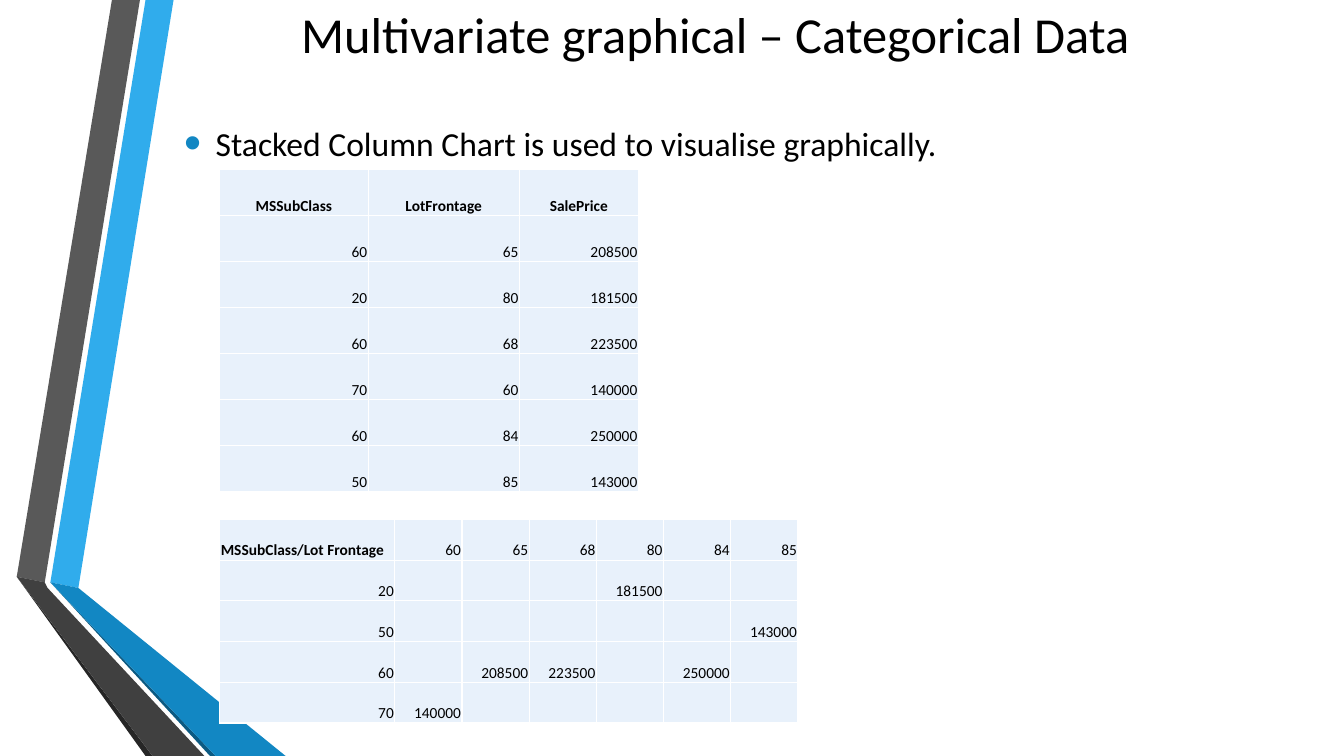
from dataclasses import dataclass

from lxml import etree
from pptx import Presentation
from pptx import util as u
from pptx.dml.color import RGBColor
from pptx.enum import text
from pptx.oxml import ns, parse_xml


@dataclass(frozen=True)
class Theme:
    font: str = "Calibri"
    title_size: int = 36
    body_size: int = 24
    cell_size: int = 11
    ink: str = "000000"
    accent: str = "1287C3"
    cell_fill: str = "E8F1FB"
    cell_border: str = "FFFFFF"
    light_blue: str = "30ACEC"
    dark_blue: str = "0C5A82"
    grey: str = "595959"
    dark_grey: str = "404040"
    near_black: str = "262626"


THEME = Theme()
LEFT, CENTER, RIGHT = text.PP_ALIGN.LEFT, text.PP_ALIGN.CENTER, text.PP_ALIGN.RIGHT
MIDDLE, TOP = text.MSO_ANCHOR.MIDDLE, text.MSO_ANCHOR.TOP

SALES_HEADINGS = ("MSSubClass", "LotFrontage", "SalePrice")
SALES = [
    (60, 65, 208500),
    (20, 80, 181500),
    (60, 68, 223500),
    (70, 60, 140000),
    (60, 84, 250000),
    (50, 85, 143000),
]


def write_text(frame, words, size, align=LEFT, bold=False, color=THEME.ink):
    para = frame.paragraphs[0]
    para.alignment = align
    span = para.add_run()
    span.text = words
    span.font.name = THEME.font
    span.font.size = u.Pt(size)
    span.font.bold = bold
    span.font.color.rgb = RGBColor.from_string(color)
    return para


def add_text_box(page, box, words, anchor=MIDDLE, inset_top=3.6, **style):
    frame = page.shapes.add_textbox(*map(u.Pt, box)).text_frame
    frame.word_wrap = True
    frame.vertical_anchor = anchor
    frame.margin_top = u.Pt(inset_top)
    return write_text(frame, words, **style)


def add_bullet(para, color, percent, indent):
    props = para._p.get_or_add_pPr()
    props.set("marL", str(u.Pt(indent)))
    props.set("indent", str(-u.Pt(indent)))
    bullet_color = etree.SubElement(props, ns.qn("a:buClr"))
    etree.SubElement(bullet_color, ns.qn("a:srgbClr"), val=color)
    etree.SubElement(props, ns.qn("a:buSzPct"), val=str(percent * 1000))
    etree.SubElement(props, ns.qn("a:buFont"), typeface="Arial")
    etree.SubElement(props, ns.qn("a:buChar"), char="•")


def add_ribbons(page, box):
    """Draw the two folded ribbons, with corners measured from the box."""
    left, top, width, height = box
    ribbons = [
        (THEME.light_blue, [(36, 416), (55.5, 420), (124.5, 0), (104.5, 0)]),
        (THEME.grey, [(100, 0), (80, 0), (11.5, 412.5), (31.5, 415.5)]),
        (THEME.near_black, [(11.5, 412.5), (104.5, height), (109, height)]),
        (THEME.dark_blue, [(36, 416.5), (150, height), (154, height)]),
        (THEME.accent, [(36, 416.5), (154, height), (width, height), (55.5, 420)]),
        (THEME.dark_grey, [(145.5, height), (34.5, 420), (31.5, 415.5),
                           (11.5, 412.5), (109, height)]),
    ]
    for color, corners in ribbons:
        start, *rest = [(left + x, top + y) for x, y in corners]
        builder = page.shapes.build_freeform(*start, scale=u.Pt(1))
        builder.add_line_segments(rest, close=True)
        ribbon = builder.convert_to_shape()
        ribbon.shadow.inherit = False
        ribbon.fill.solid()
        ribbon.fill.fore_color.rgb = RGBColor.from_string(color)
        ribbon.line.fill.background()


def style_cell(cell):
    cell.margin_left = cell.margin_right = cell.margin_top = u.Pt(0.7)
    cell.margin_bottom = 0
    cell.vertical_anchor = text.MSO_ANCHOR.BOTTOM
    cell.fill.solid()
    cell.fill.fore_color.rgb = RGBColor.from_string(THEME.cell_fill)
    for index, side in enumerate(("lnL", "lnR", "lnT", "lnB")):
        border = parse_xml(
            f'<a:{side} {ns.nsdecls("a")} w="{u.Pt(1)}"><a:solidFill>'
            f'<a:srgbClr val="{THEME.cell_border}"/></a:solidFill></a:{side}>')
        cell._tc.get_or_add_tcPr().insert(index, border)


def add_data_table(page, box, column_widths, rows, heading_align):
    """Fill a table: words become bold headings, numbers align right."""
    frame = page.shapes.add_table(len(rows), len(column_widths), *map(u.Pt, box))
    table = frame.table
    table.first_row = table.horz_banding = False
    for column, width in zip(table.columns, column_widths):
        column.width = u.Pt(width)
    for row, values in zip(table.rows, rows):
        row.height = u.Pt(box[3] / len(rows))
        for cell, value in zip(row.cells, values):
            style_cell(cell)
            heading = isinstance(value, str)
            if value is not None:
                write_text(cell.text_frame, str(value), THEME.cell_size,
                           align=heading_align if heading else RIGHT, bold=heading)


def pivot_sales():
    prices = {(subclass, frontage): price for subclass, frontage, price in SALES}
    subclasses = sorted({sale[0] for sale in SALES})
    frontages = sorted({sale[1] for sale in SALES})
    return [("MSSubClass/Lot Frontage", *frontages)] + [
        (subclass, *(prices.get((subclass, frontage)) for frontage in frontages))
        for subclass in subclasses]


def build_page(page, box):
    left, top, width, height = box
    add_ribbons(page, (left, top, 204, height))
    add_text_box(page, (left + 116.5, top, 789, 47.5),
                 "Multivariate graphical – Categorical Data",
                 size=THEME.title_size, align=CENTER)
    statement = add_text_box(page, (left + 124.5, top + 68.5, 789, 95),
                             "Stacked Column Chart is used to visualise graphically.",
                             anchor=TOP, inset_top=19, size=THEME.body_size)
    add_bullet(statement, THEME.accent, percent=145, indent=22.5)
    add_data_table(page, (left + 157, top + 121, 299, 230.5), (106, 108, 85),
                   [SALES_HEADINGS, *SALES], CENTER)
    add_data_table(page, (left + 157, top + 371, 413, 145.5), (125, *[48] * 6),
                   pivot_sales(), LEFT)


def main():
    deck = Presentation()
    deck.slide_width, deck.slide_height = u.Pt(960), u.Pt(540)
    page = deck.slides.add_slide(deck.slide_layouts[6])
    build_page(page, (0, 0, 960, 540))
    deck.save("out.pptx")


if __name__ == "__main__":
    main()
